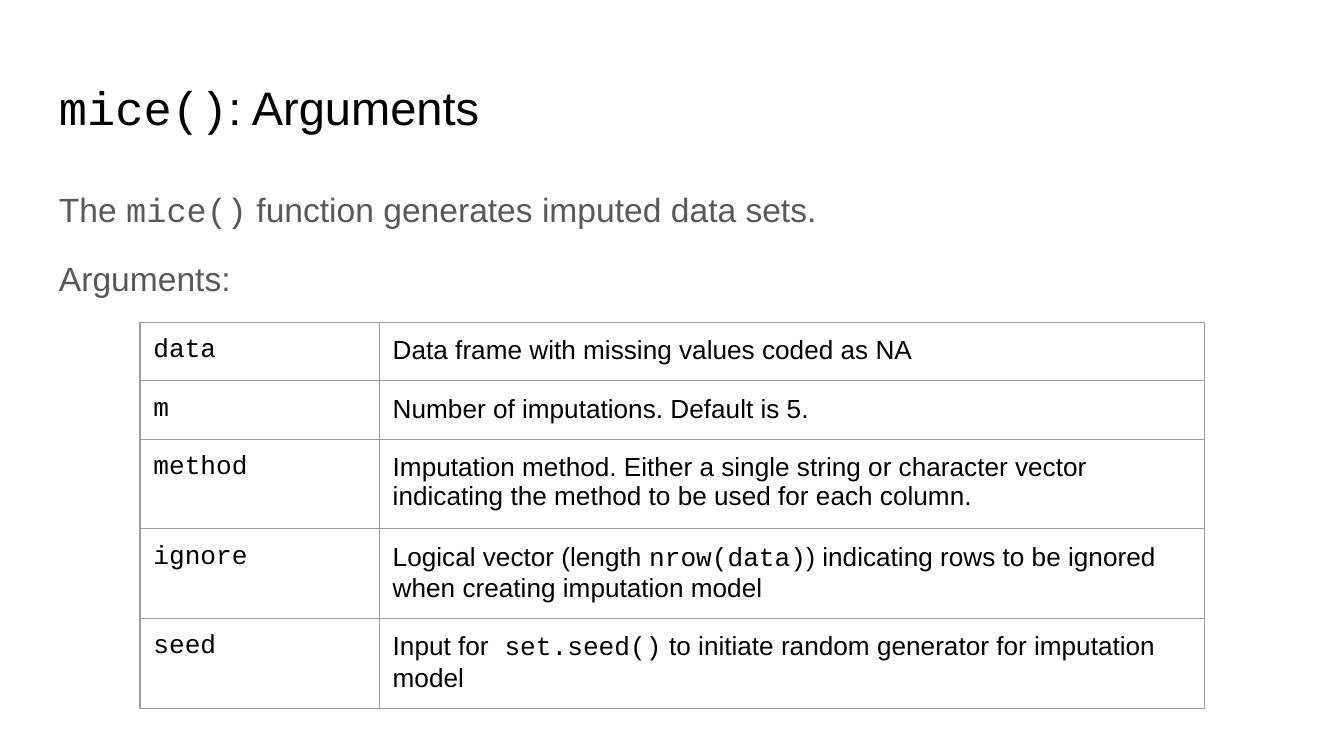
from lxml.etree import SubElement
from pptx import Presentation
from pptx.dml.color import RGBColor
from pptx.oxml.ns import qn
from pptx.util import Pt

BLACK = RGBColor(0x00, 0x00, 0x00)
GRAY = RGBColor(0x59, 0x59, 0x59)
BORDER = RGBColor(0x9E, 0x9E, 0x9E)
TEXT_FONT = "Arial"
CODE_FONT = "Courier New"
INSET = Pt(7.2)

ARGUMENTS = [
    ("`data`", "Data frame with missing values coded as NA"),
    ("`m`", "Number of imputations. Default is 5."),
    ("`method`", "Imputation method. Either a single string or character vector "
                 "indicating the method to be used for each column."),
    ("`ignore`", "Logical vector (length `nrow(data)`) indicating rows to be "
                 "ignored when creating imputation model"),
    ("`seed`", "Input for` set.seed()` to initiate random generator for "
               "imputation model"),
]


class SlideBuilder:
    def __init__(self, slide):
        self.slide = slide

    def add_runs(self, paragraph, text, size, color):
        """Fill a paragraph; parts between backticks are set in the code font."""
        for index, part in enumerate(text.split("`")):
            if not part:
                continue
            run = paragraph.add_run()
            run.text = part
            run.font.name = CODE_FONT if index % 2 else TEXT_FONT
            run.font.size = Pt(size)
            run.font.color.rgb = color

    def set_insets(self, target):
        target.margin_left = target.margin_right = INSET
        target.margin_top = target.margin_bottom = INSET

    def text_box(self, left, top, width, height, lines, size, color,
                 line_spacing=1.0, gap=0):
        """Add one paragraph per line, with gap points around the later ones."""
        box = self.slide.shapes.add_textbox(Pt(left), Pt(top), Pt(width), Pt(height))
        frame = box.text_frame
        frame.word_wrap = True
        self.set_insets(frame)
        for index, line in enumerate(lines):
            paragraph = frame.add_paragraph() if index else frame.paragraphs[0]
            paragraph.line_spacing = line_spacing
            if index:
                paragraph.space_before = paragraph.space_after = Pt(gap)
            self.add_runs(paragraph, line, size, color)

    def border(self, cell):
        properties = cell._tc.get_or_add_tcPr()
        for side in ("a:lnL", "a:lnR", "a:lnT", "a:lnB"):
            line = SubElement(properties, qn(side), w=str(Pt(0.75)))
            fill = SubElement(line, qn("a:solidFill"))
            SubElement(fill, qn("a:srgbClr"), val=str(BORDER))

    def table(self, left, top, column_widths, row_height, rows, size):
        frame = self.slide.shapes.add_table(
            len(rows), len(column_widths), Pt(left), Pt(top),
            Pt(sum(column_widths)), Pt(row_height * len(rows)))
        table = frame.table
        table.first_row = table.horz_banding = False
        for column, width in zip(table.columns, column_widths):
            column.width = Pt(width)
        for row, texts in zip(table.rows, rows):
            row.height = Pt(row_height)
            for cell, text in zip(row.cells, texts):
                self.set_insets(cell)
                self.border(cell)
                cell.fill.background()
                self.add_runs(cell.text_frame.paragraphs[0], text, size, BLACK)


def main():
    presentation = Presentation()
    presentation.slide_width = Pt(720)
    presentation.slide_height = Pt(405)
    builder = SlideBuilder(presentation.slides.add_slide(presentation.slide_layouts[6]))

    builder.text_box(24.5, 35, 671, 45, ["`mice()`: Arguments"], 25.2, BLACK)
    builder.text_box(24.5, 90.75, 671, 269,
                     ["The `mice()` function generates imputed data sets.", "Arguments:"],
                     18, GRAY, line_spacing=1.15, gap=12)
    builder.table(75, 172.8, [128.2, 442], 30, ARGUMENTS, 14)

    presentation.save("out.pptx")


if __name__ == "__main__":
    main()
